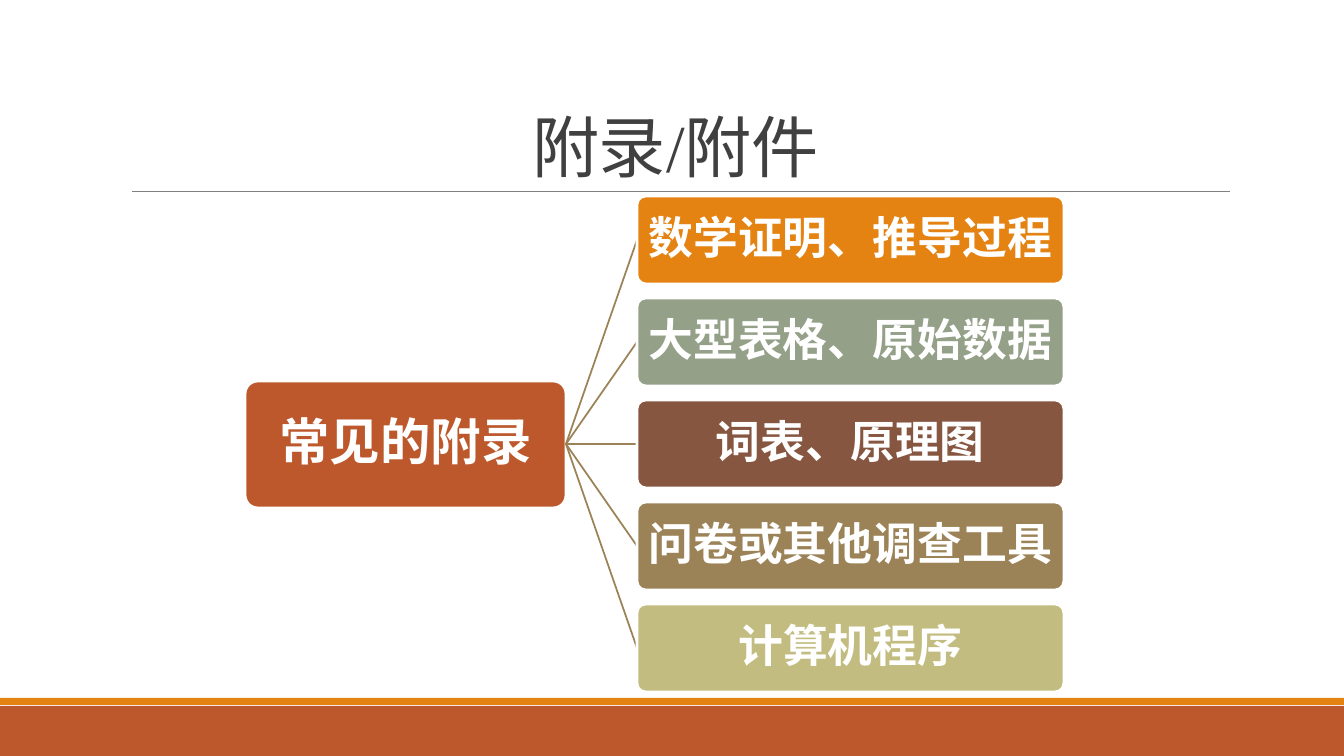
from pptx import Presentation
from pptx.dml.color import RGBColor
from pptx.enum.shapes import MSO_CONNECTOR as Connector, MSO_SHAPE as Shape
from pptx.enum.text import MSO_ANCHOR as Anchor, PP_ALIGN as Align
from pptx.oxml.ns import qn
from pptx.util import Pt
from lxml.etree import SubElement

SCALE = 914400 / 100.8


def px(*lengths):
    return [round(length * SCALE) for length in lengths]


def color(value):
    return RGBColor.from_string(value)


class SlideBuilder:
    title_font = "Times New Roman"
    body_font = "Calibri"
    dark = "404040"
    white = "FFFFFF"

    def __init__(self, page):
        self.page = page

    def set_text(self, frame, text, size, font, ink, spacing, anchor, bold=False):
        frame.text = text
        frame.word_wrap = True
        frame.vertical_anchor = anchor
        para = frame.paragraphs[0]
        para.alignment = Align.CENTER
        para.line_spacing = spacing
        span = para.runs[0]
        span.font.size = Pt(size)
        span.font.name = font
        span.font.bold = bold
        span.font.color.rgb = color(ink)
        return span

    def title(self, text, left, top, width, height):
        box = self.page.shapes.title
        box.left, box.top, box.width, box.height = px(left, top, width, height)
        span = self.set_text(box.text_frame, text, 48, self.title_font,
                             self.dark, 0.85, Anchor.BOTTOM)
        span.font._element.set("spc", "-50")

    def band(self, fill, left, top, width, height, kind=Shape.RECTANGLE):
        box = self.page.shapes.add_shape(kind, *px(left, top, width, height))
        box.shadow.inherit = False
        box.fill.solid()
        box.fill.fore_color.rgb = color(fill)
        box.line.fill.background()
        return box

    def card(self, text, size, fill, left, top, width, height):
        box = self.band(fill, left, top, width, height, Shape.ROUNDED_RECTANGLE)
        box.adjustments[0] = 0.1
        box.line.color.rgb = color(self.white)
        box.line.width = Pt(2)
        frame = box.text_frame
        frame.margin_left, frame.margin_right, frame.margin_top, frame.margin_bottom = px(4, 4, 4, 4)
        self.set_text(frame, text, size, self.body_font, self.white, 0.9, Anchor.MIDDLE, True)

    def line(self, ink, weight, *ends):
        link = self.page.shapes.add_connector(Connector.STRAIGHT, *px(*ends))
        link.line.color.rgb = color(ink)
        link.line.width = Pt(weight)
        SubElement(link._element.spPr, qn("a:effectLst"))


deck = Presentation()
deck.slide_width, deck.slide_height = px(1344, 756)
slide = SlideBuilder(deck.slides.add_slide(deck.slide_layouts[5]))

slide.band("BD582C", 0, 706, 1344, 50)
slide.band("E48312", 0, 698, 1344, 7)
slide.line("808080", 0.5, 132, 191, 1230, 191)
slide.title("附录/附件", 121, 31, 1109, 160)

ROOT_LEFT, ROOT_WIDTH, ROOT_HEIGHT, MIDDLE = 245, 321, 127, 444
ITEM_LEFT, ITEM_WIDTH, ITEM_HEIGHT, PITCH = 637, 427, 88, 102
appendices = [
    ("数学证明、推导过程", "E48312"),
    ("大型表格、原始数据", "94A088"),
    ("词表、原理图", "865640"),
    ("问卷或其他调查工具", "9B8357"),
    ("计算机程序", "C2BC80"),
]

slide.card("常见的附录", 36, "BD582C", ROOT_LEFT, MIDDLE - ROOT_HEIGHT // 2,
           ROOT_WIDTH, ROOT_HEIGHT)
for index, (text, fill) in enumerate(appendices):
    center = MIDDLE + (index - len(appendices) // 2) * PITCH
    slide.line("9B8357", 1.25, ROOT_LEFT + ROOT_WIDTH, MIDDLE, ITEM_LEFT, center)
    slide.card(text, 32, fill, ITEM_LEFT, center - ITEM_HEIGHT // 2,
               ITEM_WIDTH, ITEM_HEIGHT)

deck.save("out.pptx")
